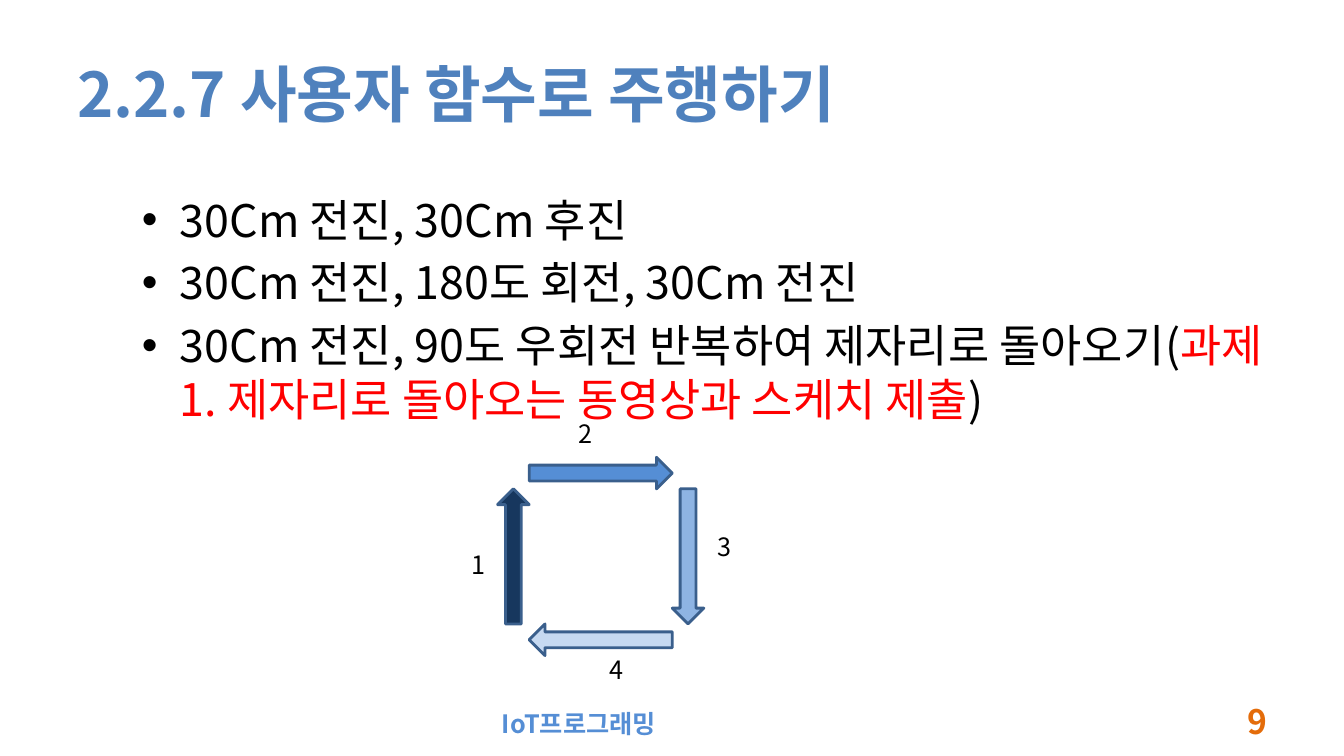
import pptx
import pptx.util
import pptx.dml.color
import pptx.enum.shapes
import pptx.enum.text
import pptx.oxml.ns
from lxml import etree

Pt = pptx.util.Pt
ARROW = pptx.enum.shapes.MSO_SHAPE
ANCHOR = pptx.enum.text.MSO_ANCHOR
ALIGN = pptx.enum.text.PP_ALIGN

THEME = {
    "font": "Noto Sans CJK KR",
    "title": "4F81BD", "text": "000000", "accent": "FF0000",
    "footer": "558ED5", "number": "E46C0A", "outline": "3A5F8C",
    "title_size": 44, "body_size": 32, "number_size": 24, "small_size": 18,
}

TITLE = "2.2.7 사용자 함수로 주행하기"
TASKS = [
    [("30Cm 전진, 30Cm 후진", "text")],
    [("30Cm 전진, 180도 회전, 30Cm 전진", "text")],
    [("30Cm 전진, 90도 우회전 반복하여 제자리로 돌아오기(", "text"),
     ("과제1. 제자리로 돌아오는 동영상과 스케치 제출", "accent"),
     (")", "text")],
]
FOOTER = "IoT프로그래밍"
PAGE_NUMBER = "9"
STEPS = [
    ("1", ARROW.UP_ARROW, "17375E", (329.8, 388.8)),
    ("2", ARROW.RIGHT_ARROW, "558ED5", (406.1, 295.2)),
    ("3", ARROW.DOWN_ARROW, "8EB4E3", (505.4, 375.8)),
    ("4", ARROW.LEFT_ARROW, "C6D9F1", (428.4, 463.7)),
]
LOOP_LEFT, LOOP_TOP, LOOP_WIDTH, LOOP_HEIGHT = 378, 349.2, 102.2, 96.5
ARROW_THICKNESS = 22.6
LABEL_SIZE = (27.4, 28.8)
BULLET_INDENT = 27


def color(value):
    return pptx.dml.color.RGBColor.from_string(value)


def add_bullet(paragraph):
    properties = paragraph._p.get_or_add_pPr()
    properties.set("marL", str(Pt(BULLET_INDENT)))
    properties.set("indent", str(-Pt(BULLET_INDENT)))
    font = etree.SubElement(properties, pptx.oxml.ns.qn("a:buFont"))
    font.set("typeface", "Arial")
    bullet = etree.SubElement(properties, pptx.oxml.ns.qn("a:buChar"))
    bullet.set("char", "•")


def add_text(slide, paragraphs, box, size, bold=False, align=ALIGN.LEFT,
             anchor=ANCHOR.TOP, bullets=False):
    frame = slide.shapes.add_textbox(*map(Pt, box)).text_frame
    frame.word_wrap = True
    frame.vertical_anchor = anchor
    for index, runs in enumerate(paragraphs):
        paragraph = frame.add_paragraph() if index else frame.paragraphs[0]
        paragraph.alignment = align
        if bullets:
            paragraph.space_before = Pt(0.2 * THEME[size])
            add_bullet(paragraph)
        for text, tone in runs:
            run = paragraph.add_run()
            run.text = text
            run.font.name = THEME["font"]
            run.font.size = Pt(THEME[size])
            run.font.bold = bold
            run.font.color.rgb = color(THEME[tone])
            east_asian = etree.SubElement(run._r.get_or_add_rPr(), pptx.oxml.ns.qn("a:ea"))
            east_asian.set("typeface", THEME["font"])


def add_arrow(slide, kind, box, fill):
    shape = slide.shapes.add_shape(kind, *map(Pt, box))
    shape.shadow.inherit = False
    shape.fill.solid()
    shape.fill.fore_color.rgb = color(fill)
    shape.line.color.rgb = color(THEME["outline"])
    shape.line.width = Pt(2)


def add_loop(slide):
    right, bottom = LOOP_LEFT + LOOP_WIDTH, LOOP_TOP + LOOP_HEIGHT
    boxes = [
        (LOOP_LEFT - ARROW_THICKNESS, LOOP_TOP, ARROW_THICKNESS, LOOP_HEIGHT),
        (LOOP_LEFT, LOOP_TOP - ARROW_THICKNESS, LOOP_WIDTH, ARROW_THICKNESS),
        (right, LOOP_TOP, ARROW_THICKNESS, LOOP_HEIGHT),
        (LOOP_LEFT, bottom, LOOP_WIDTH, ARROW_THICKNESS),
    ]
    for (label, kind, fill, position), box in zip(STEPS, boxes):
        add_arrow(slide, kind, box, fill)
        add_text(slide, [[(label, "text")]], position + LABEL_SIZE, "small_size")


def main():
    presentation = pptx.Presentation()
    presentation.slide_width, presentation.slide_height = Pt(960), Pt(540)
    slide = presentation.slides.add_slide(presentation.slide_layouts[6])
    add_text(slide, [[(FOOTER, "footer")]], (351.4, 502.6, 257, 28.8),
             "small_size", bold=True)
    add_text(slide, [[(TITLE, "title")]], (48, 21.6, 864, 90),
             "title_size", bold=True, anchor=ANCHOR.MIDDLE)
    add_text(slide, TASKS, (94.3, 133.9, 817.2, 356.4), "body_size", bullets=True)
    add_text(slide, [[(PAGE_NUMBER, "number")]], (688.3, 500.4, 223.9, 28.8),
             "number_size", bold=True, align=ALIGN.RIGHT, anchor=ANCHOR.MIDDLE)
    add_loop(slide)
    presentation.save("out.pptx")


if __name__ == "__main__":
    main()
